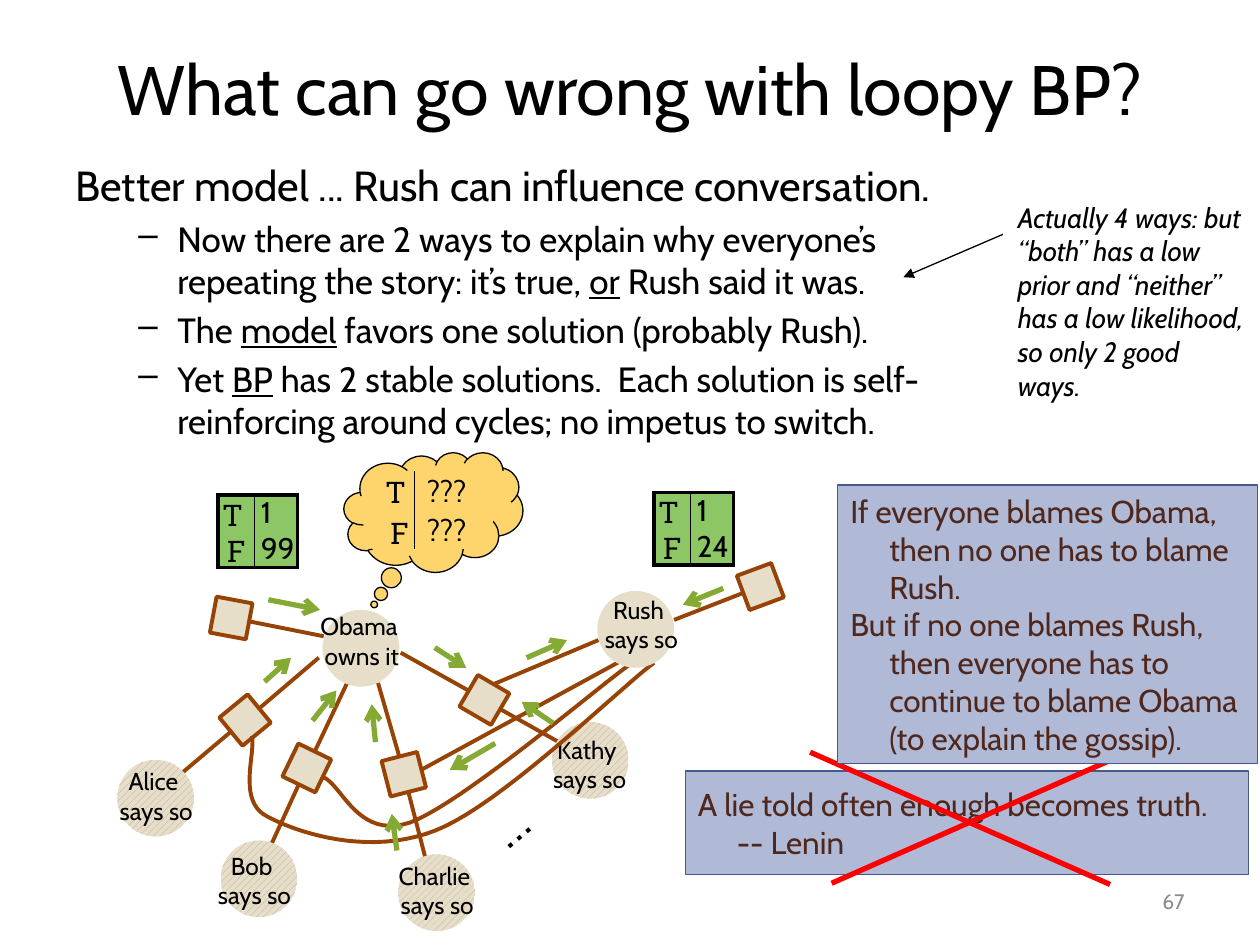
from dataclasses import dataclass
from itertools import product
from math import cos, radians, sin

from lxml.etree import SubElement
from pptx import Presentation
from pptx.dml.color import RGBColor
from pptx.enum.dml import MSO_PATTERN
from pptx.enum.shapes import MSO_CONNECTOR, MSO_SHAPE
from pptx.enum.text import MSO_ANCHOR, PP_ALIGN
from pptx.oxml import parse_xml
from pptx.oxml.ns import nsdecls, qn
from pptx.util import Pt

SCALE = 9144


@dataclass(frozen=True)
class Theme:
    """Colours, fonts and type sizes."""
    ink: str = "000000"
    muted: str = "8C8C8C"
    node: str = "E7DEC9"
    hatch: str = "B5AB97"
    edge: str = "964305"
    message: str = "84AA33"
    belief: str = "FED46C"
    prior: str = "8DC765"
    panel: str = "B0BAD7"
    panel_line: str = "475A8D"
    panel_text: str = "4F271C"
    strike: str = "FF0000"
    font: str = "Cabin"
    slab: str = "Roboto Slab"
    title: int = 40
    body: int = 24
    point: int = 20
    quote: int = 18
    value: int = 17
    aside: int = 16
    label: int = 14
    number: int = 12
    dots: int = 28


@dataclass(frozen=True)
class Box:
    """A rectangle in px."""
    left: int
    top: int
    width: int = 0
    height: int = 0

    def inner(self, x, y, width=0, height=0):
        """Return a box placed relative to this one."""
        return Box(self.left + x, self.top + y, width, height)

    def emu(self):
        """Return left, top, width and height in EMU."""
        return [round(v * SCALE) for v in (self.left, self.top, self.width, self.height)]


THEME = Theme()


def rgb(value):
    """Turn a hex string into a colour."""
    return RGBColor.from_string(value)


def write(frame, paragraphs, size=THEME.label, color=THEME.ink, font=THEME.font, italic=False,
          align=PP_ALIGN.LEFT, anchor=MSO_ANCHOR.TOP, wrap=True, hang=0):
    """Fill a text frame; underscores enclose underlined words, newlines break lines."""
    frame.word_wrap = wrap
    frame.vertical_anchor = anchor
    for index, content in enumerate(paragraphs):
        paragraph = frame.add_paragraph() if index else frame.paragraphs[0]
        paragraph.alignment = align
        if hang:
            indent(paragraph, hang, hang)
        for row, line in enumerate(content.split("\n")):
            if row:
                paragraph.add_line_break()
            for part, words in enumerate(line.split("_")):
                run = paragraph.add_run()
                run.text = words
                run.font.size = Pt(size)
                run.font.name = font
                run.font.italic = italic
                run.font.underline = part % 2 == 1
                run.font.color.rgb = rgb(color)


def indent(paragraph, margin, hang):
    """Give a paragraph a hanging indent in px."""
    properties = paragraph._p.get_or_add_pPr()
    properties.set("marL", str(margin * SCALE))
    properties.set("indent", str(-hang * SCALE))
    return properties


def text(slide, box, paragraphs, **style):
    """Add a text box."""
    frame_box = slide.shapes.add_textbox(*box.emu())
    write(frame_box.text_frame, paragraphs, **style)
    return frame_box


def shape(slide, kind, box, fill, line=None, weight=0.75, rotation=0):
    """Add a filled preset shape."""
    item = slide.shapes.add_shape(kind, *box.emu())
    item.shadow.inherit = False
    item.rotation = rotation
    item.fill.solid()
    item.fill.fore_color.rgb = rgb(fill)
    if line:
        item.line.color.rgb = rgb(line)
        item.line.width = Pt(weight)
    else:
        item.line.fill.background()
    return item


def connect(slide, start, end, color=THEME.edge, weight=2.25, head=None):
    """Add a straight line between two boxes' corners."""
    line = slide.shapes.add_connector(MSO_CONNECTOR.STRAIGHT, *start.emu()[:2], *end.emu()[:2])
    line.line.color.rgb = rgb(color)
    line.line.width = Pt(weight)
    if head:
        SubElement(line.line._get_or_add_ln(), qn("a:tailEnd"), type=head)
    SubElement(line._element.spPr, qn("a:effectLst"))
    return line


def join(slide, factor, side, end):
    """Link a side of a rotated factor square to a point."""
    angle = radians(factor.rotation - 90 * (side + 1))
    reach = factor.width / 2
    x = round(factor.left + reach + reach * cos(angle + radians(0)) * 1) if side == 3 else None
    normal = {0: (0, -1), 1: (-1, 0), 2: (0, 1), 3: (1, 0)}[side]
    turn = radians(factor.rotation)
    x = round(factor.left + reach * (1 + normal[0] * cos(turn) - normal[1] * sin(turn)))
    y = round(factor.top + reach * (1 + normal[0] * sin(turn) + normal[1] * cos(turn)))
    edge = connect(slide, end, end)
    edge.begin_connect(factor, side)
    edge.begin_x, edge.begin_y = x, y


def curve(slide, box, start, segments):
    """Draw a chain of cubic curves as a fine open outline."""
    steps = 20
    points = []
    origin = start
    for x1, y1, x2, y2, x3, y3 in segments:
        for t in (step / steps for step in range(1, steps + 1)):
            weights = ((1 - t) ** 3, 3 * t * (1 - t) ** 2, 3 * t * t * (1 - t), t ** 3)
            corners = (origin, (x1, y1), (x2, y2), (x3, y3))
            x, y = (sum(w * c[axis] for w, c in zip(weights, corners)) for axis in (0, 1))
            points.append(box.inner(x, y).emu()[:2])
        origin = (x3, y3)
    builder = slide.shapes.build_freeform(*box.inner(*start).emu()[:2])
    builder.add_line_segments(points, close=False)
    path = builder.convert_to_shape()
    path.shadow.inherit = False
    path.fill.background()
    path.line.color.rgb = rgb(THEME.edge)
    path.line.width = Pt(2.25)


def truth_table(slide, box, values, fill, columns, rows, insets, frame=0):
    """Add a two-row table of weights for true and false."""
    table = slide.shapes.add_table(2, 2, *box.emu()).table
    table.first_row = table.horz_banding = False
    for index in range(2):
        table.columns[index].width = columns[index] * SCALE
        table.rows[index].height = rows[index] * SCALE
    for row, column in product(range(2), repeat=2):
        cell = table.cell(row, column)
        cell.margin_left = insets[column] * SCALE
        cell.margin_right = cell.margin_top = cell.margin_bottom = 0
        cell.vertical_anchor = MSO_ANCHOR.MIDDLE
        cell.fill.solid()
        cell.fill.fore_color.rgb = rgb(fill)
        content = values[row] if column else ("T ", "F")[row]
        write(cell.text_frame, [content], size=THEME.value, anchor=MSO_ANCHOR.MIDDLE,
              font=THEME.font if column else THEME.slab,
              align=PP_ALIGN.LEFT if column else PP_ALIGN.CENTER)
        borders = {"L": 1 if column else frame, "R": frame if column else 1,
                   "T": 0 if row else frame, "B": frame if row else 0}
        for place, (side, weight) in enumerate(borders.items()):
            paint = f'<a:solidFill><a:srgbClr val="{THEME.ink}"/></a:solidFill>' if weight else "<a:noFill/>"
            cell._tc.get_or_add_tcPr().insert(place, parse_xml(
                f'<a:ln{side} {nsdecls("a")} w="{Pt(weight)}">{paint}</a:ln{side}>'))


def node(slide, box, caption, shift, observed=False):
    """Add a round variable with its caption, hatched when observed."""
    disc = shape(slide, MSO_SHAPE.OVAL, box, THEME.node)
    if observed:
        disc.fill.patterned()
        disc.fill.pattern = MSO_PATTERN.WIDE_UPWARD_DIAGONAL
        disc.fill.fore_color.rgb = rgb(THEME.hatch)
        disc.fill.back_color.rgb = rgb(THEME.node)
    text(slide, box.inner(*shift, 124, 57), [caption], align=PP_ALIGN.CENTER, anchor=MSO_ANCHOR.MIDDLE)


def thought(slide, box):
    """Draw the thought cloud with its unknown belief."""
    cloud = shape(slide, MSO_SHAPE.CLOUD_CALLOUT, box, THEME.belief, THEME.ink)
    cloud.adjustments[0], cloud.adjustments[1] = -0.331, 0.771
    truth_table(slide, box.inner(22, 15, 96, 62), ("???", "???"), THEME.belief, (34, 62), (33, 29), (10, 10))


def network(slide, box):
    """Draw the factor graph with its messages."""
    thought(slide, box.inner(183, 9, 142, 95))
    factors = {}
    for name, corner, rotation, hub, leaf in (
            ("Kathy", (280, 191), 300.3, (228, 168), (366, 246)),
            ("Alice", (90, 207), 50.6, (163, 172), (42, 274)),
            ("Bob", (139, 245), 25.9, (186, 191), (119, 334)),
            ("Charlie", (216, 250), 345.6, (210, 192), (251, 344)),
            ("Obama", (79, 126), 100.6, (167, 155), None),
            ("Rush", (499, 101), 249.6, (445, 142), None)):
        factors[name] = shape(slide, MSO_SHAPE.RECTANGLE, box.inner(*corner, 29, 29),
                              THEME.node, THEME.edge, 2.25, rotation)
        join(slide, factors[name], 0, box.inner(*hub))
        if leaf:
            join(slide, factors[name], 2, box.inner(*leaf))
    for name, corner, shift in (("Kathy", (348, 223), (-32, 5)), ("Alice", (3, 253), (-31, 0)),
                                ("Bob", (85, 317), (-35, 3)), ("Charlie", (226, 328), (-31, 0))):
        node(slide, box.inner(*corner, 61, 61), f"{name} \nsays so", shift, observed=True)
    node(slide, box.inner(166, 134, 61, 61), "Obama\n owns it", (-33, -4))
    join(slide, factors["Kathy"], 3, box.inner(385, 158))
    join(slide, factors["Charlie"], 3, box.inner(402, 175))
    curve(slide, box, (409, 178), ((380, 199, 276, 288, 235, 303), (194, 316, 182, 274, 167, 267)))
    curve(slide, box, (429, 176), ((400, 198, 307, 289, 256, 309), (203, 330, 146, 311, 122, 298),
                                   (98, 286, 113, 248, 110, 234)))
    node(slide, box.inner(384, 119, 61, 61), "Rush \nsays so", (-27, -2))
    for x1, y1, x2, y2 in (
            (225, 325, 221, 296), (349, 224, 324, 207), (123, 126, 164, 134), (120, 191, 141, 172),
            (158, 222, 177, 198), (208, 239, 205, 209), (255, 164, 280, 180), (328, 172, 360, 158),
            (303, 240, 267, 261), (484, 117, 452, 130)):
        connect(slide, box.inner(x1, y1), box.inner(x2, y2), THEME.message, 3, "arrow")
    for corner, weight in (((83, 43), "99"), ((429, 41), "24")):
        truth_table(slide, box.inner(*corner, 63, 57), ("1", weight), THEME.prior, (29, 34), (28, 29), (0, 5), 2.25)
    text(slide, box.inner(289, 272, 59, 57), ["…"], size=THEME.dots, wrap=False).rotation = 319.9


def argument(slide, box):
    """Write the lead sentence and its dashed points."""
    lead = text(slide, box, ["Better model ... Rush can influence conversation."], size=THEME.body)
    frame = lead.text_frame
    points = ("Now there are 2 ways to explain why everyone’s repeating the story: it’s true, _or_ Rush said it was.",
              "The _model_ favors one solution (probably Rush).",
              "Yet _BP_ has 2 stable solutions.  Each solution is self-reinforcing around cycles; no impetus to switch.")
    for content in points:
        paragraph = frame.add_paragraph()
        paragraph.level = 1
        paragraph.space_before = Pt(4)
        SubElement(indent(paragraph, 81, 31), qn("a:buChar"), char="–")
        for part, words in enumerate(content.split("_")):
            run = paragraph.add_run()
            run.text = words
            run.font.name, run.font.size = THEME.font, Pt(THEME.point)
            run.font.underline = part % 2 == 1
            run.font.color.rgb = rgb(THEME.ink)


def aside(slide, box):
    """Write the italic remark and its pointer."""
    connect(slide, box.inner(-2, 32), box.inner(-81, 66), THEME.ink, 0.75, "triangle")
    text(slide, box, ["Actually 4 ways: but “both” has a low prior and “neither” has a low likelihood, "
                      "so only 2 good ways."], size=THEME.aside, italic=True)


def panel(slide, box, paragraphs):
    """Add a tinted panel with hanging paragraphs."""
    tinted = shape(slide, MSO_SHAPE.RECTANGLE, box, THEME.panel, THEME.panel_line)
    write(tinted.text_frame, paragraphs, size=THEME.quote, color=THEME.panel_text,
          anchor=MSO_ANCHOR.MIDDLE, hang=31)


def quotes(slide, box):
    """Place the crossed-out saying below the explanation."""
    panel(slide, box.inner(0, 227, 447, 82), ["A lie told often enough becomes truth.\n-- Lenin"])
    for x1, y1, x2, y2 in ((99, 212, 337, 317), (354, 211, 116, 316)):
        connect(slide, box.inner(x1, y1), box.inner(x2, y2), THEME.strike, 3)
    panel(slide, box.inner(121, 0, 333, 221), [
        "If everyone blames Obama, then no one has to blame Rush.",
        "But if no one blames Rush, then everyone has to continue to blame Obama (to explain the gossip)."])


def main():
    """Build and save the slide."""
    deck = Presentation()
    deck.slide_width, deck.slide_height = 1000 * SCALE, 750 * SCALE
    slide = deck.slides.add_slide(deck.slide_layouts[6])
    text(slide, Box(50, 30, 900, 79), ["What can go wrong with loopy BP?"], size=THEME.title,
         align=PP_ALIGN.CENTER, anchor=MSO_ANCHOR.MIDDLE)
    argument(slide, Box(50, 122, 709, 240))
    network(slide, Box(90, 350, 530, 390))
    quotes(slide, Box(544, 385, 454, 317))
    aside(slide, Box(798, 154, 200, 170))
    text(slide, Box(717, 695, 233, 40), ["67"], size=THEME.number, color=THEME.muted,
         align=PP_ALIGN.RIGHT, anchor=MSO_ANCHOR.MIDDLE)
    deck.save("out.pptx")


if __name__ == "__main__":
    main()
